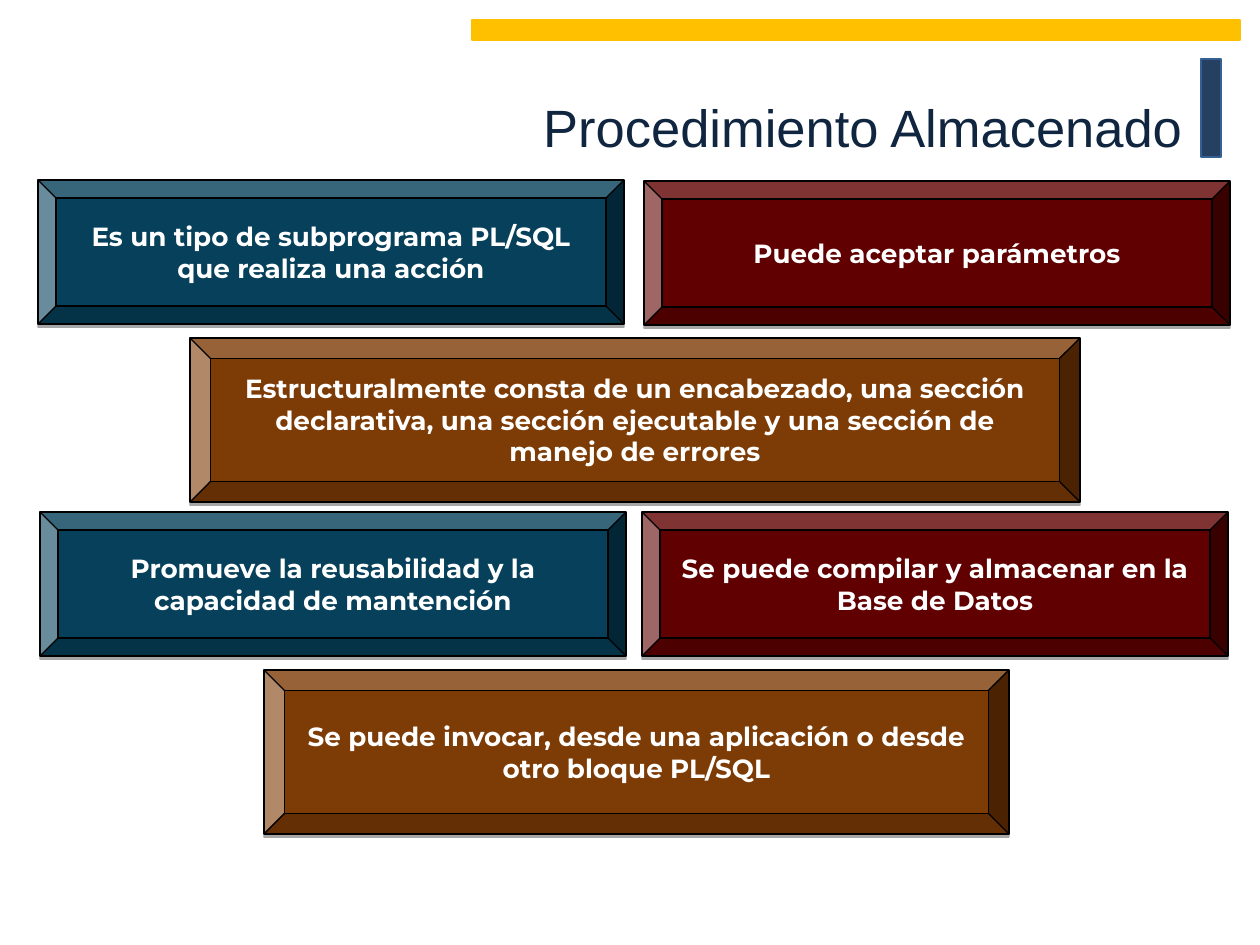
from lxml import etree
from pptx import Presentation
from pptx import util as u
from pptx.dml.color import RGBColor
from pptx.enum import shapes, text
from pptx.oxml.ns import qn

PX = 914400 / 126  # EMU in one px
COLORS = {
    "navy": "254061", "navy_edge": "376092", "gold": "FFC000", "title": "10253F",
    "blue": "06405A", "red": "600000", "brown": "7D3B05",
    "black": "000000", "white": "FFFFFF",
}


def px(*lengths):
    return [u.Emu(round(length * PX)) for length in lengths]


def rgb(name):
    return RGBColor.from_string(COLORS[name])


class SlideBuilder:
    title_font, body_font = "Arial", "Montserrat"

    def __init__(self, slide):
        self.slide = slide

    def style_text(self, frame, words, font, size, color, align, bold=False):
        frame.text = words
        frame.word_wrap = True
        frame.vertical_anchor = text.MSO_ANCHOR.MIDDLE
        paragraph = frame.paragraphs[0]
        paragraph.alignment = align
        style = paragraph.runs[0].font
        style.name, style.size, style.bold = font, u.Pt(size), bold
        style.color.rgb = rgb(color)

    def title(self, words, *box):
        heading = self.slide.shapes.title
        heading.left, heading.top, heading.width, heading.height = px(*box)
        self.style_text(heading.text_frame, words, self.title_font, 30,
                        "title", text.PP_ALIGN.RIGHT)

    def block(self, preset, fill, edge, *box):
        block = self.slide.shapes.add_shape(preset, *px(*box))
        block.shadow.inherit = False
        block.fill.solid()
        block.fill.fore_color.rgb = rgb(fill)
        block.line.color.rgb = rgb(edge)
        block.line.width = u.Pt(0.75)
        return block

    def bar(self, fill, edge, *box):
        self.block(shapes.MSO_SHAPE.RECTANGLE, fill, edge, *box)

    def plaque(self, words, fill, *box):
        plaque = self.block(shapes.MSO_SHAPE.BEVEL, fill, "black", *box)
        plaque.adjustments[0] = 0.125
        self.drop_shadow(plaque)
        self.style_text(plaque.text_frame, words, self.body_font, 15,
                        "white", text.PP_ALIGN.CENTER, bold=True)

    def drop_shadow(self, shape):
        effects = shape._element.spPr.find(qn("a:effectLst"))
        shadow = etree.SubElement(effects, qn("a:outerShdw"), blurRad="0",
                                  dist=str(u.Pt(1.8)), dir="5400000",
                                  rotWithShape="0")
        color = etree.SubElement(shadow, qn("a:srgbClr"), val=COLORS["black"])
        etree.SubElement(color, qn("a:alpha"), val="35000")


def main():
    deck = Presentation()
    deck.slide_width, deck.slide_height = px(1260, 945)
    page = SlideBuilder(deck.slides.add_slide(deck.slide_layouts[5]))

    # Heading and its accent bars
    page.bar("navy", "navy_edge", 1201, 59, 20, 98)
    page.bar("gold", "gold", 472, 20, 768, 20)
    page.title("Procedimiento Almacenado", 122, 26, 1073, 202)

    # Paired features: words, fill, left, top
    pair_size = (586, 144)
    for words, fill, left, top in [
        ("Es un tipo de subprograma PL/SQL que realiza una acción", "blue", 38, 180),
        ("Puede aceptar parámetros", "red", 644, 181),
        ("Promueve la reusabilidad y la capacidad de mantención", "blue", 40, 512),
        ("Se puede compilar y almacenar en la Base de Datos", "red", 642, 512),
    ]:
        page.plaque(words, fill, left, top, *pair_size)

    # Wide features: words, left, top, width
    wide_height = 164
    for words, left, top, width in [
        ("Estructuralmente consta de un encabezado, una sección declarativa, "
         "una sección ejecutable y una sección de manejo de errores", 190, 338, 890),
        ("Se puede invocar, desde una aplicación o desde otro bloque PL/SQL",
         264, 670, 745),
    ]:
        page.plaque(words, "brown", left, top, width, wide_height)

    deck.save("out.pptx")


if __name__ == "__main__":
    main()
